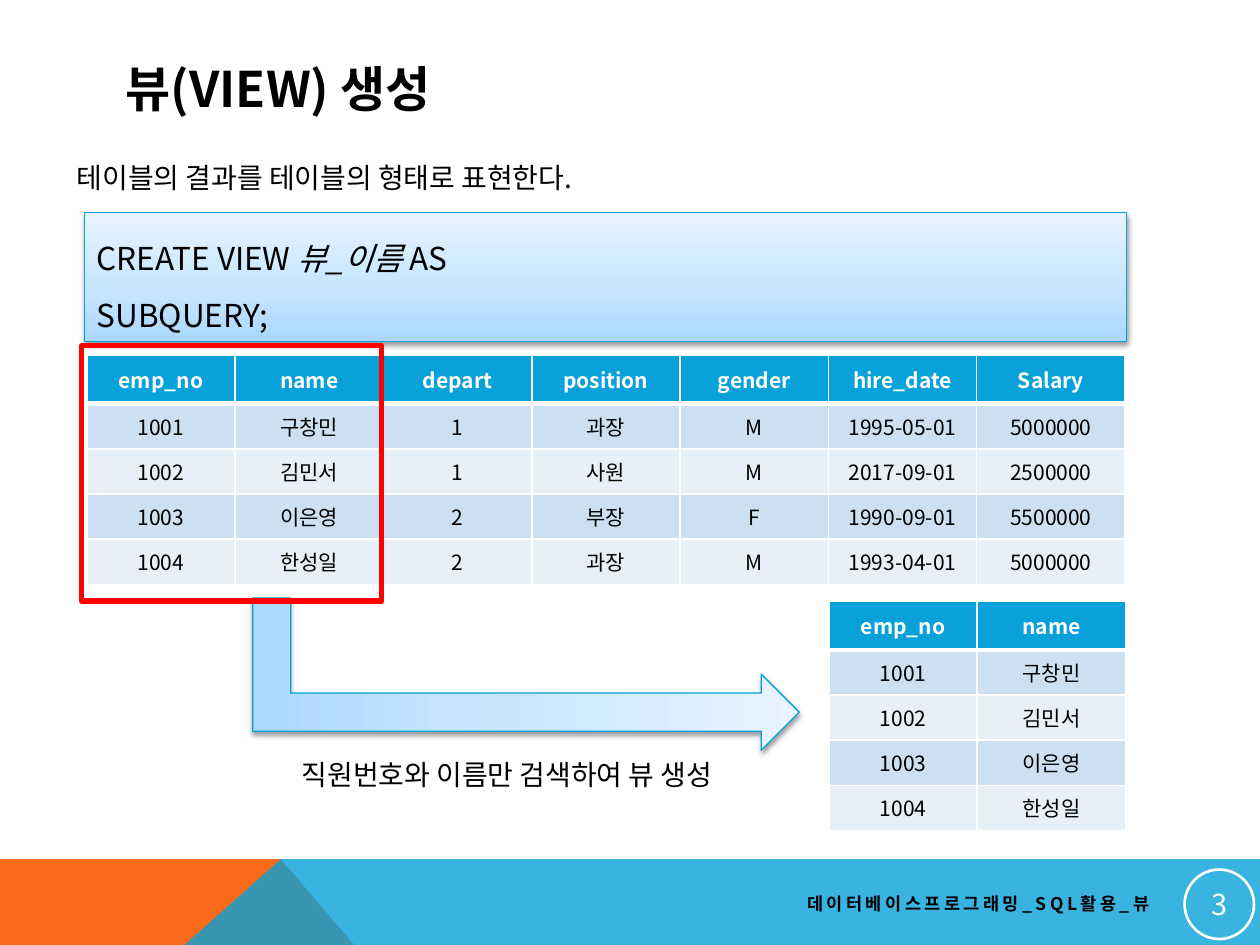
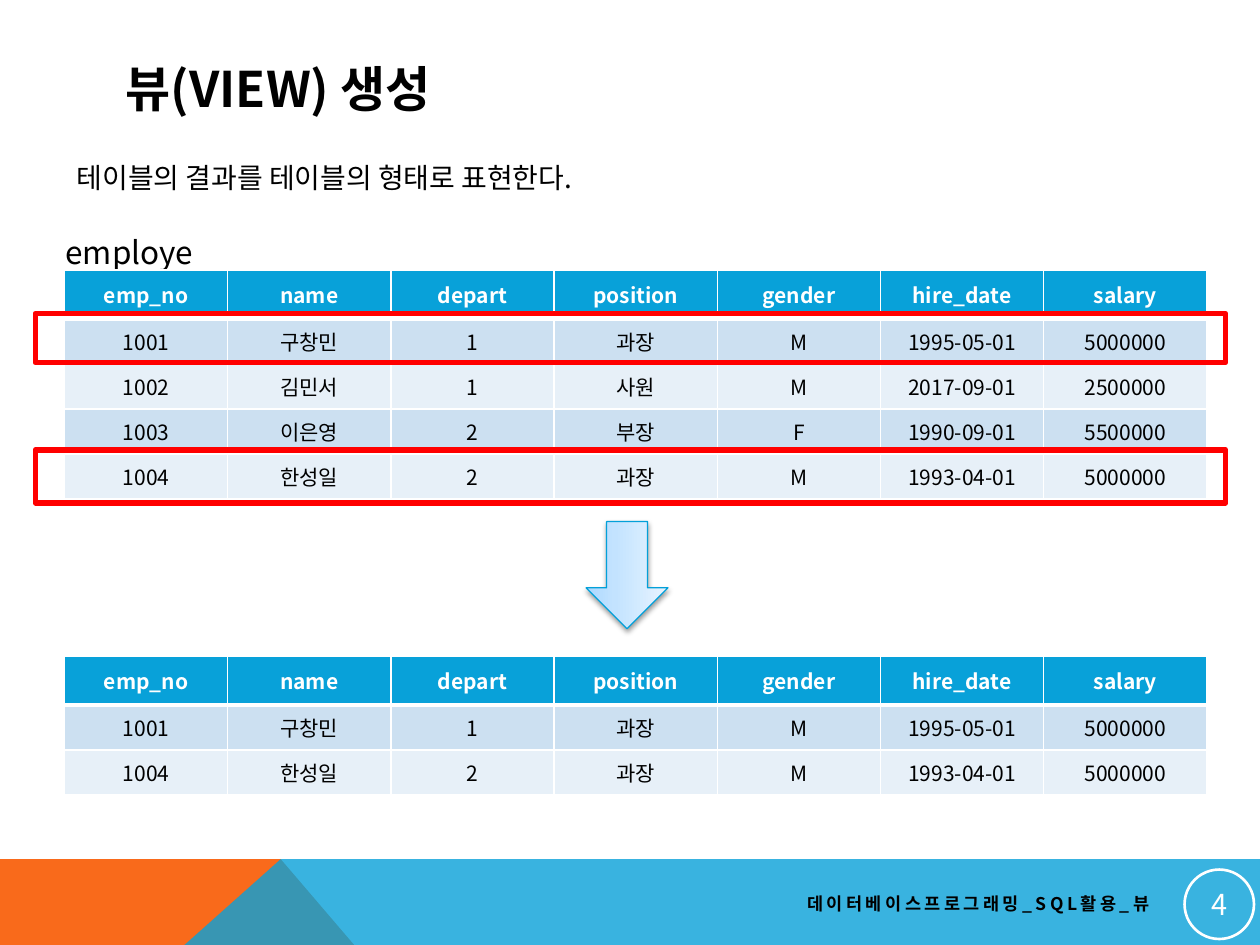
from copy import deepcopy

from lxml.etree import SubElement
from pptx import Presentation
from pptx.dml.color import RGBColor
from pptx.enum.shapes import MSO_SHAPE
from pptx.enum.text import MSO_ANCHOR, MSO_AUTO_SIZE, PP_ALIGN
from pptx.oxml.ns import qn
from pptx.util import Cm, Pt

FONT = "Noto Sans CJK KR"
BLACK = RGBColor(0x00, 0x00, 0x00)
WHITE = RGBColor(0xFF, 0xFF, 0xFF)
BLUE = RGBColor(0x08, 0xA1, 0xD9)
ORANGE = RGBColor(0xF9, 0x6A, 0x1B)
RED = RGBColor(0xFF, 0x00, 0x00)
EDGE = RGBColor(0x03, 0xA0, 0xD9)
ROW_FILLS = (RGBColor(0xCC, 0xE0, 0xF1), RGBColor(0xE7, 0xF0, 0xF8))
GRADIENT = (
    (0, RGBColor(0xAB, 0xD8, 0xFF)),
    (0.35, RGBColor(0xC3, 0xE3, 0xFF)),
    (1, RGBColor(0xE8, 0xF4, 0xFF)),
)

SLIDE_W, SLIDE_H = 25.4, 19.05
BAND_H = 1.73
HEADER_ROW, BODY_ROW = 0.98, 0.91

COLUMNS = ("emp_no", "name", "depart", "position", "gender", "hire_date")
EMPLOYEES = (
    ("1001", "구창민", "1", "과장", "M", "1995-05-01", "5000000"),
    ("1002", "김민서", "1", "사원", "M", "2017-09-01", "2500000"),
    ("1003", "이은영", "2", "부장", "F", "1990-09-01", "5500000"),
    ("1004", "한성일", "2", "과장", "M", "1993-04-01", "5000000"),
)


def style_run(r, size, color=BLACK, bold=False):
    """Set font, size, colour and weight of a run."""
    r.font.size = Pt(size)
    r.font.bold = bold
    r.font.color.rgb = color
    r.font.name = FONT
    SubElement(r.font._element, qn("a:ea"), typeface=FONT)


def add_text(slide, x, y, w, h, text, size, bold=False, align=PP_ALIGN.LEFT,
             anchor=MSO_ANCHOR.MIDDLE):
    """Add a one-paragraph text box and return its paragraph and frame."""
    tf = slide.shapes.add_textbox(Cm(x), Cm(y), Cm(w), Cm(h)).text_frame
    tf.word_wrap = True
    tf.vertical_anchor = anchor
    p = tf.paragraphs[0]
    p.text = text
    p.alignment = align
    style_run(p.runs[0], size, bold=bold)
    return p, tf


def add_outline(slide, kind, x, y, w, h, color, width):
    """Add an unfilled shape with a coloured line."""
    s = slide.shapes.add_shape(kind, Cm(x), Cm(y), Cm(w), Cm(h))
    s.shadow.inherit = False
    s.fill.background()
    s.line.color.rgb = color
    s.line.width = Pt(width)
    return s


def add_glossy(slide, kind, x, y, w, h, rotation=0):
    """Add a shape with the light blue gradient and a soft shadow."""
    s = add_outline(slide, kind, x, y, w, h, EDGE, 0.75)
    s.rotation = rotation
    s.fill.gradient()
    s.fill.gradient_angle = 90
    spPr = s._element.spPr
    stops = spPr.find(".//" + qn("a:gsLst"))
    stops.insert(1, deepcopy(stops[0]))
    for stop, (position, color) in zip(s.fill.gradient_stops, GRADIENT):
        stop.position = position
        stop.color.rgb = color
    shadow = SubElement(spPr.find(qn("a:effectLst")), qn("a:outerShdw"),
                        blurRad=str(Pt(3.1)), dist=str(Pt(1.6)),
                        dir="5400000", rotWithShape="0")
    tint = SubElement(shadow, qn("a:srgbClr"), val=str(BLACK))
    SubElement(tint, qn("a:alpha"), val="38000")
    return s


def add_polygon(slide, points, color):
    """Add a closed, filled outline without a line."""
    pts = [(Cm(px), Cm(py)) for px, py in points]
    builder = slide.shapes.build_freeform(*pts[0], scale=1.0)
    builder.add_line_segments(pts[1:], close=True)
    s = builder.convert_to_shape()
    s.shadow.inherit = False
    s.fill.solid()
    s.fill.fore_color.rgb = color
    s.line.fill.background()
    return s


def style_cell(cell, fill, color, bold, bottom):
    """Set borders, fill and text style of a table cell."""
    tcPr = cell._tc.get_or_add_tcPr()
    for side, width in (("L", 1), ("R", 1), ("T", 1), ("B", bottom)):
        ln = SubElement(tcPr, qn("a:ln" + side), w=str(Pt(width)))
        SubElement(SubElement(ln, qn("a:solidFill")), qn("a:srgbClr"), val=str(WHITE))
    cell.fill.solid()
    cell.fill.fore_color.rgb = fill
    cell.vertical_anchor = MSO_ANCHOR.MIDDLE
    p = cell.text_frame.paragraphs[0]
    p.alignment = PP_ALIGN.CENTER
    style_run(p.runs[0], 12, color, bold)


def add_grid(slide, x, y, col_w, header, rows):
    """Add a table with a blue header and alternating rows."""
    data = (header, *rows)
    height = HEADER_ROW + BODY_ROW * len(rows)
    table = slide.shapes.add_table(len(data), len(header), Cm(x), Cm(y),
                                   Cm(col_w * len(header)), Cm(height)).table
    table.horz_banding = False
    for col in table.columns:
        col.width = Cm(col_w)
    for i, values in enumerate(data):
        table.rows[i].height = Cm(BODY_ROW if i else HEADER_ROW)
        for j, value in enumerate(values):
            cell = table.cell(i, j)
            cell.text = value
            if i:
                above_border = 1 if i > 1 else 3
                style_cell(cell, ROW_FILLS[(i - 1) % 2], BLACK, False, 1)
                cell._tc.tcPr.find(qn("a:lnT")).set("w", str(Pt(above_border)))
            else:
                style_cell(cell, BLUE, WHITE, True, 3)


def add_header(slide, x, y, w):
    """Add the title and the sentence below it."""
    add_text(slide, x + 0.99, y, w, 1.52, "뷰(VIEW) 생성", 28, bold=True)
    p, _ = add_text(slide, x, y + 2.1, w, 1.27,
                    "테이블의 결과를 테이블의 형태로 표현한다.", 16,
                    anchor=MSO_ANCHOR.TOP)
    p.space_before = Pt(8)


def add_footer(slide, x, y, w, h, number):
    """Add the two-colour band, the course name and the page badge."""
    peak = (x + 5.66, y)
    add_polygon(slide, [(x, y), peak, (x + 7.14, y + h), (x, y + h)], ORANGE)
    band = add_polygon(slide, [peak, (x + w, y), (x + w, y + h), (x + 3.72, y + h)], BLUE)
    color = band._element.spPr.find(qn("a:solidFill"))[0]
    SubElement(color, qn("a:alpha"), val="80000")
    p, _ = add_text(slide, x + 9.09, y + 0.51, 14.33, 0.76,
                    "데이터베이스프로그래밍_SQL활용_뷰", 10, bold=True,
                    align=PP_ALIGN.RIGHT)
    p.runs[0].font._element.set("spc", "200")
    badge = add_outline(slide, MSO_SHAPE.OVAL, x + w - 1.52, y + 0.21, 1.4, 1.4, WHITE, 1.5)
    tf = badge.text_frame
    tf.margin_left = tf.margin_right = tf.margin_top = tf.margin_bottom = Cm(0.03)
    tf.vertical_anchor = MSO_ANCHOR.MIDDLE
    p = tf.paragraphs[0]
    p.text = str(number)
    p.alignment = PP_ALIGN.CENTER
    style_run(p.runs[0], 16.5, WHITE)


def add_syntax(slide, x, y, w, h):
    """Add the box with the CREATE VIEW statement."""
    tf = add_glossy(slide, MSO_SHAPE.RECTANGLE, x, y, w, h).text_frame
    tf.word_wrap = True
    tf.vertical_anchor = MSO_ANCHOR.MIDDLE
    lines = (("CREATE VIEW ", "뷰_이름 ", "AS"), ("SUBQUERY;",))
    for i, parts in enumerate(lines):
        p = tf.add_paragraph() if i else tf.paragraphs[0]
        p.alignment = PP_ALIGN.LEFT
        p.line_spacing = 1.5
        for part in parts:
            r = p.add_run()
            r.text = part
            style_run(r, 18)
            r.font.italic = part.startswith("뷰")


def add_column_view(slide, x, y):
    """Show a view that keeps two columns of the table."""
    col_w = 2.99
    add_syntax(slide, x, y, 21.01, 2.59)
    add_grid(slide, x + 0.05, y + 2.87, col_w, (*COLUMNS, "Salary"), EMPLOYEES)
    arrow = add_glossy(slide, MSO_SHAPE.BENT_UP_ARROW, x + 7.37, y + 3.79, 3.07, 11.02, 270)
    xfrm = arrow._element.spPr.find(qn("a:xfrm"))
    xfrm.set("flipH", "1")
    xfrm.set("flipV", "1")
    add_text(slide, x + 3.43, y + 10.65, 10.19, 1.32,
             "직원번호와 이름만 검색하여 뷰 생성", 16, align=PP_ALIGN.CENTER)
    add_outline(slide, MSO_SHAPE.RECTANGLE, x - 0.05, y + 2.67, 6.05, 5.16, RED, 3)
    add_grid(slide, x + 15.01, y + 7.83, col_w, COLUMNS[:2], [e[:2] for e in EMPLOYEES])


def add_row_view(slide, x, y):
    """Show a view that keeps two rows of the table."""
    col_w = 3.29
    header = (*COLUMNS, "salary")
    add_glossy(slide, MSO_SHAPE.RIGHT_ARROW, x + 10.26, y + 6.58, 2.16, 1.65, 90)
    p, tf = add_text(slide, x - 0.23, y, 3.35, 1.27, "employee", 18, anchor=MSO_ANCHOR.TOP)
    p.line_spacing = 1.5
    tf.word_wrap = False
    tf.auto_size = MSO_AUTO_SIZE.SHAPE_TO_FIT_TEXT
    add_grid(slide, x, y + 1.25, col_w, header, EMPLOYEES)
    for top, height in ((2.13, 0.99), (4.88, 1.07)):
        add_outline(slide, MSO_SHAPE.RECTANGLE, x - 0.59, y + top, 24, height, RED, 3)
    add_grid(slide, x, y + 9.04, col_w, header, (EMPLOYEES[0], EMPLOYEES[-1]))


def main():
    """Build both slides and save the file."""
    prs = Presentation()
    prs.slide_width, prs.slide_height = Cm(SLIDE_W), Cm(SLIDE_H)
    contents = ((add_column_view, 1.7, 4.29), (add_row_view, 1.3, 4.19))
    for number, (add_content, x, y) in enumerate(contents, start=3):
        slide = prs.slides.add_slide(prs.slide_layouts[6])
        add_footer(slide, 0, SLIDE_H - BAND_H, SLIDE_W, BAND_H, number)
        add_header(slide, 1.3, 1.02, 20.88)
        add_content(slide, x, y)
    prs.save("out.pptx")


main()
